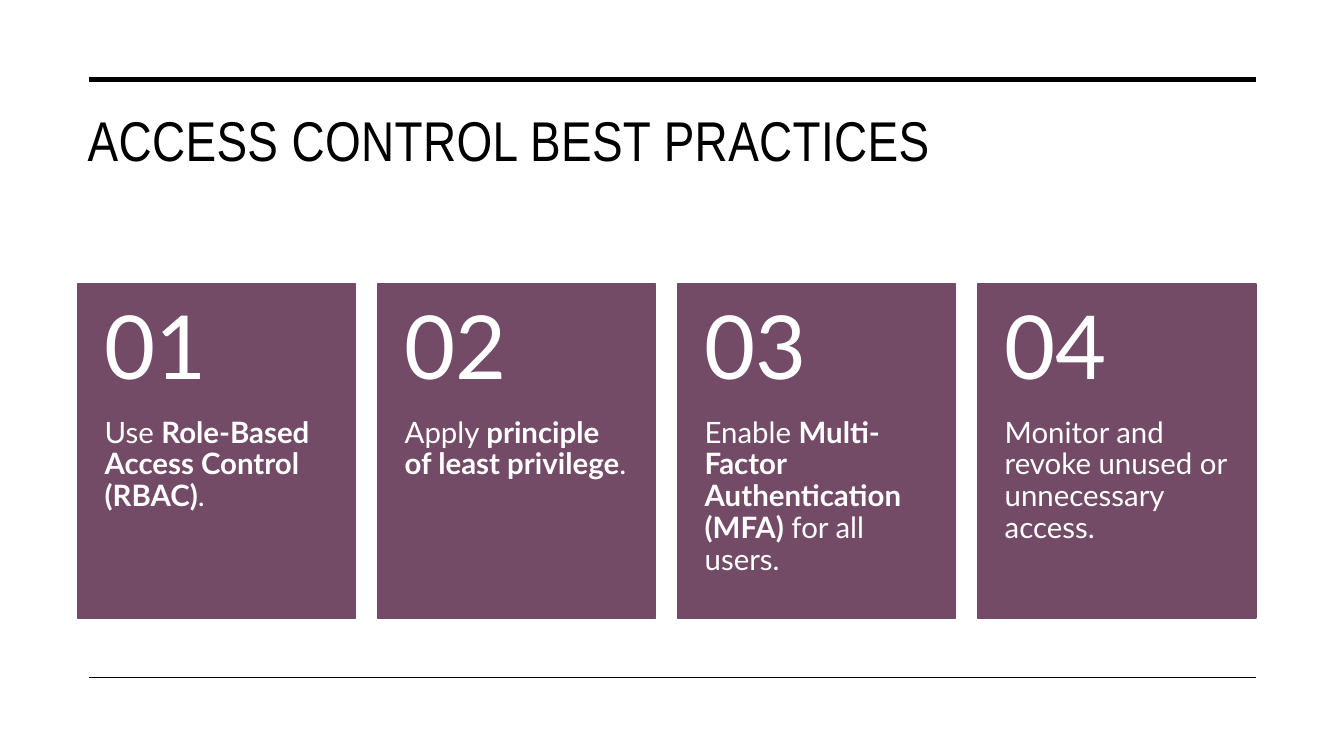
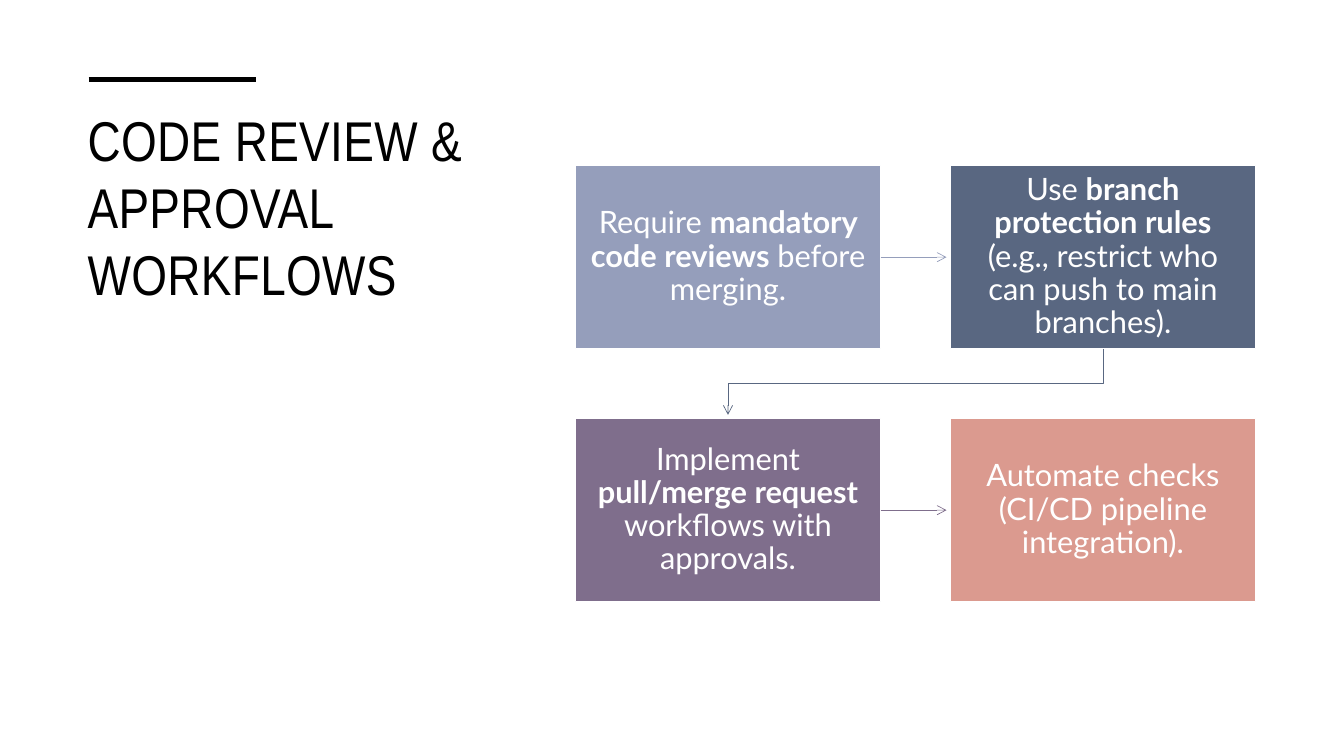
from lxml.etree import SubElement
from pptx import Presentation
from pptx.dml.color import RGBColor
from pptx.enum.shapes import MSO_CONNECTOR, MSO_SHAPE
from pptx.enum.text import MSO_ANCHOR, PP_ALIGN
from pptx.oxml.ns import qn
from pptx.util import Pt

COLORS = {
    "black": "000000", "white": "FFFFFF", "plum": "734B67", "periwinkle": "959EBB",
    "slate": "596781", "mauve": "7F6E8C", "salmon": "DB9A8F",
}
MARGIN_LEFT, MARGIN_RIGHT = 63.4, 897.1


class Deck:
    """Holds the shared style and the slide being built."""
    title_font, body_font = "Arial Narrow", "Lato"

    def __init__(self):
        self.prs = Presentation()
        self.prs.slide_width, self.prs.slide_height = Pt(960), Pt(540)
        self.shapes = None

    def color(self, name):
        return RGBColor.from_string(COLORS[name])

    def new_slide(self, title, title_width, title_height, rule_end):
        slide = self.prs.slides.add_slide(self.prs.slide_layouts[6])
        self.shapes = slide.shapes
        self.rule(56.9, rule_end, 3.5)
        self.text_box((55.5, 71.6, title_width, title_height), [(title, False)],
                      40, (7.2, 3.6, 7.2, 3.6), font=self.title_font,
                      color="black", line_spacing=1, tracking=30)

    def add_text(self, shape, runs, size, insets, font=body_font, color="white",
                 line_spacing=0.9, tracking=0, anchor=MSO_ANCHOR.TOP, align=PP_ALIGN.LEFT):
        frame = shape.text_frame
        frame.word_wrap = True
        frame.vertical_anchor = anchor
        (frame.margin_left, frame.margin_top,
         frame.margin_right, frame.margin_bottom) = map(Pt, insets)
        paragraph = frame.paragraphs[0]
        paragraph.alignment, paragraph.line_spacing = align, line_spacing
        for text, bold in runs:
            run = paragraph.add_run()
            run.text = text
            run.font.name, run.font.size, run.font.bold = font, Pt(size), bold
            run.font.color.rgb = self.color(color)
            if tracking:
                run.font._element.set("spc", str(tracking))

    def text_box(self, box, runs, size, insets, **style):
        self.add_text(self.shapes.add_textbox(*map(Pt, box)), runs, size, insets, **style)

    def panel(self, box, fill, border):
        panel = self.shapes.add_shape(MSO_SHAPE.RECTANGLE, *map(Pt, box))
        panel.shadow.inherit = False
        panel.fill.solid()
        panel.fill.fore_color.rgb = self.color(fill)
        self.stroke(panel, border, 1)
        return panel

    def stroke(self, shape, color, width, arrow=False):
        shape.line.color.rgb = self.color(color)
        shape.line.width = Pt(width)
        if arrow:
            outline = shape._element.spPr.find(qn("a:ln"))
            SubElement(outline, qn("a:tailEnd"), type="arrow")

    def line(self, start, end, color, width, arrow=False):
        line = self.shapes.add_connector(MSO_CONNECTOR.STRAIGHT, *map(Pt, start + end))
        self.stroke(line, color, width, arrow)
        SubElement(line._element.spPr, qn("a:effectLst"))

    def rule(self, y, end, width):
        self.line((MARGIN_LEFT, y), (end, y), "black", width)

    def bent_arrow(self, points, color):
        start, *rest = [(Pt(x), Pt(y)) for x, y in points]
        builder = self.shapes.build_freeform(*start)
        builder.add_line_segments(rest, close=False)
        arrow = builder.convert_to_shape()
        arrow.shadow.inherit = False
        arrow.fill.background()
        self.stroke(arrow, color, 0.5, arrow=True)


def access_control(deck):
    deck.new_slide("ACCESS CONTROL BEST PRACTICES", 841.7, 90.7, MARGIN_RIGHT)
    deck.rule(483.8, MARGIN_RIGHT, 1)
    practices = [
        [("Use ", False), ("Role-Based Access Control (RBAC)", True), (".", False)],
        [("Apply ", False), ("principle of least privilege", True), (".", False)],
        [("Enable ", False), ("Multi-Factor Authentication (MFA)", True),
         (" for all users.", False)],
        [("Monitor and revoke unused or unnecessary access.", False)],
    ]
    # Numbered cards in one row
    first_left, top, width, height, number_height = 55.2, 203, 199, 238.4, 95.4
    pitch = (MARGIN_RIGHT - width - first_left) / (len(practices) - 1)
    for index, practice in enumerate(practices):
        left = first_left + index * pitch
        deck.panel((left, top, width, height), "plum", "plum")
        deck.text_box((left, top, width, number_height), [(f"{index + 1:02}", False)],
                      63, (19.6, 13, 19.6, 13), anchor=MSO_ANCHOR.MIDDLE)
        deck.text_box((left, top + number_height, width, height - number_height),
                      practice, 21, (19.6, 0, 19.6, 26))


def code_review(deck):
    deck.new_slide("CODE REVIEW & APPROVAL WORKFLOWS", 308.2, 313.2, 182.9)
    steps = [
        ("periwinkle", [("Require ", False), ("mandatory code reviews", True),
                        (" before merging.", False)]),
        ("slate", [("Use ", False), ("branch protection rules", True),
                   (" (e.g., restrict who can push to main branches).", False)]),
        ("mauve", [("Implement ", False), ("pull/merge request", True),
                   (" workflows with approvals.", False)]),
        ("salmon", [("Automate checks (CI/CD pipeline integration).", False)]),
    ]
    # Steps in a two by two grid
    left, top, width, height = 411, 118.3, 218, 130.8
    pitch_x, pitch_y, tip_gap = 267.8, 180.7, 2.7
    for index, (fill, step) in enumerate(steps):
        row, column = divmod(index, 2)
        box = (left + column * pitch_x, top + row * pitch_y, width, height)
        deck.add_text(deck.panel(box, fill, "white"), step, 22, (10.7, 11.2, 10.7, 11.2),
                      anchor=MSO_ANCHOR.MIDDLE, align=PP_ALIGN.CENTER)
    # Arrows across each row
    for row, color in enumerate(("periwinkle", "mauve")):
        y = top + row * pitch_y + height / 2
        deck.line((left + width, y), (left + pitch_x - tip_gap, y), color, 0.5, arrow=True)
    # Arrow back to the second row
    first_x, second_x = left + width / 2, left + pitch_x + width / 2
    bottom, next_top = top + height, top + pitch_y
    middle = (bottom + next_top) / 2
    deck.bent_arrow([(second_x, bottom), (second_x, middle), (first_x, middle),
                     (first_x, next_top - tip_gap)], "slate")


def main():
    deck = Deck()
    access_control(deck)
    code_review(deck)
    deck.prs.save("out.pptx")


if __name__ == "__main__":
    main()
